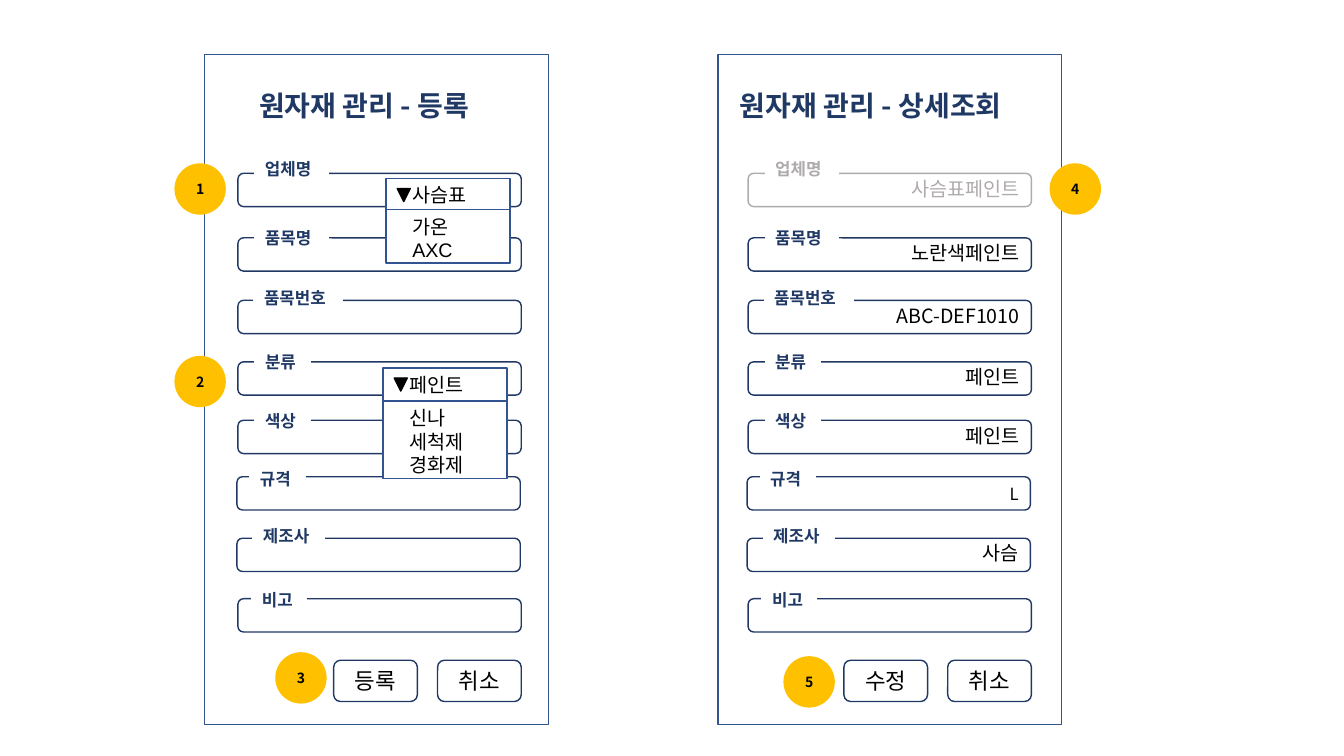
import dataclasses

import lxml.etree
import pptx
import pptx.dml.color
import pptx.enum.shapes
import pptx.enum.text
import pptx.oxml.ns
import pptx.util

PX = 9144
SHAPE = pptx.enum.shapes.MSO_SHAPE
ALIGN = pptx.enum.text.PP_ALIGN
ANCHOR = pptx.enum.text.MSO_ANCHOR


@dataclasses.dataclass(frozen=True)
class Theme:
    """Colours, fonts and type sizes of the wireframe."""

    navy: str = "203864"
    frame: str = "325491"
    grey: str = "AFABAB"
    amber: str = "FFC000"
    white: str = "FFFFFF"
    black: str = "000000"
    font: str = "Noto Sans CJK KR"
    menu_font: str = "Arial"
    title: int = 20
    button: int = 16
    value: int = 14
    label: int = 12
    marker: int = 10


THEME = Theme()

FIELDS = [
    ("업체명", (0, 172), (17, 151, 73, 33), "사슴표페인트"),
    ("품목명", (0, 236), (17, 219, 73, 33), "노란색페인트"),
    ("품목번호", (0, 298), (16, 279, 88, 33), "ABC-DEF1010"),
    ("분류", (0, 359), (17, 347, 55, 24), "페인트"),
    ("색상", (0, 417), (17, 405, 55, 24), "페인트"),
    ("규격", (-1, 473), (12, 463, 55, 24), "L"),
    ("제조사", (-1, 534), (15, 520, 71, 24), "사슴"),
    ("비고", (0, 594), (14, 579, 54, 33), ""),
]
MENUS = [
    (383, 177, 31, 53, "사슴표", ["가온", "AXC"]),
    (380, 365, 33, 77, "페인트", ["신나", "세척제", "경화제"]),
]
MARKERS = [("1", 173, 162), ("2", 173, 353), ("4", 1041, 162), ("5", 777, 651), ("3", 273, 647)]


def rgb(code):
    """Return a colour object for a hex code."""
    return pptx.dml.color.RGBColor.from_string(code)


def paint(shape, fill, line):
    """Set the fill and outline, either of which may be None."""
    if fill:
        shape.fill.solid()
        shape.fill.fore_color.rgb = rgb(fill)
    else:
        shape.fill.background()
    if line:
        shape.line.color.rgb = rgb(line)
        shape.line.width = pptx.util.Pt(1)
    else:
        shape.line.fill.background()


def write(shape, text, size, color=THEME.black, bold=False, align=ALIGN.LEFT,
          anchor=ANCHOR.MIDDLE, font=THEME.font):
    """Put formatted text into a shape."""
    frame = shape.text_frame
    frame.text = text
    frame.word_wrap = True
    frame.auto_size = pptx.enum.text.MSO_AUTO_SIZE.NONE
    frame.vertical_anchor = anchor
    for para in frame.paragraphs:
        para.alignment = align
        for span in para.runs:
            span.font.size = pptx.util.Pt(size)
            span.font.bold = bold
            span.font.color.rgb = rgb(color)
            span.font.name = font
            east_asian = lxml.etree.SubElement(span.font._element, pptx.oxml.ns.qn("a:ea"))
            east_asian.set("typeface", THEME.font)


def add_box(page, kind, box, fill=THEME.white, line=THEME.navy):
    """Add a flat preset shape."""
    shape = page.shapes.add_shape(kind, *(length * PX for length in box))
    shape.shadow.inherit = False
    paint(shape, fill, line)
    return shape


def add_field(page, origin, field, show_value, color):
    """Add an outlined input with its label set into the border."""
    label, (shift, top), (label_left, label_top, width, height), value = field
    entry = add_box(page, SHAPE.ROUNDED_RECTANGLE, (origin + shift, top, 281, 33), line=color)
    if show_value and value:
        size = THEME.label if value == "L" else THEME.value
        text_color = THEME.black if color == THEME.navy else color
        write(entry, value, size, text_color, align=ALIGN.RIGHT, anchor=ANCHOR.BOTTOM)
    caption = add_box(page, SHAPE.RECTANGLE,
                      (origin + label_left, label_top, width, height), line=THEME.white)
    write(caption, label, THEME.label, color, bold=True)


def add_form(page, origin, frame_left, action, show_values):
    """Add one screen frame with its inputs and buttons."""
    add_box(page, SHAPE.RECTANGLE, (frame_left, 54, 341, 665), fill=None, line=THEME.frame)
    for index, field in enumerate(FIELDS):
        locked = show_values and index == 0
        add_field(page, origin, field, show_values, THEME.grey if locked else THEME.navy)
    for index, text in enumerate((action, "취소")):
        button = add_box(page, SHAPE.ROUNDED_RECTANGLE, (origin + 95 + 103 * index, 655, 83, 41))
        write(button, text, THEME.button, align=ALIGN.CENTER)


def add_menu(page, left, top, head_height, list_height, chosen, options):
    """Add an open drop-down with a triangle beside the chosen entry."""
    rows = [(top, head_height, chosen), (top + head_height, list_height, "\n".join(options))]
    for row_top, height, text in rows:
        row = add_box(page, SHAPE.RECTANGLE, (left, row_top, 123, height), line=THEME.frame)
        write(row, text, THEME.value, anchor=ANCHOR.TOP, font=THEME.menu_font)
        row.text_frame.margin_left = 26 * PX
    add_box(page, SHAPE.FLOWCHART_MERGE, (left + 11, top + 10, 13, 13), THEME.black, THEME.black)


def add_marker(page, number, left, top):
    """Add a numbered callout circle."""
    marker = add_box(page, SHAPE.OVAL, (left, top, 51, 51), THEME.amber, None)
    write(marker, number, THEME.marker, bold=True, align=ALIGN.CENTER)


def main():
    """Build the two screens and save the deck."""
    deck = pptx.Presentation()
    deck.slide_width, deck.slide_height = 1333 * PX, 750 * PX
    page = deck.slides.add_slide(deck.slide_layouts[5])
    title = page.shapes.title
    title.left, title.top, title.width, title.height = (
        length * PX for length in (247, 83, 256, 42))
    paint(title, THEME.white, THEME.white)
    write(title, "원자재 관리 - 등록", THEME.title, THEME.navy, bold=True)
    add_form(page, 236, 203, "등록", False)
    add_form(page, 742, 712, "수정", True)
    heading = add_box(page, SHAPE.RECTANGLE, (724, 83, 318, 42), line=THEME.white)
    write(heading, "원자재 관리 - 상세조회", THEME.title, THEME.navy, bold=True)
    for menu in MENUS:
        add_menu(page, *menu)
    for marker in MARKERS:
        add_marker(page, *marker)
    deck.save("out.pptx")


if __name__ == "__main__":
    main()
